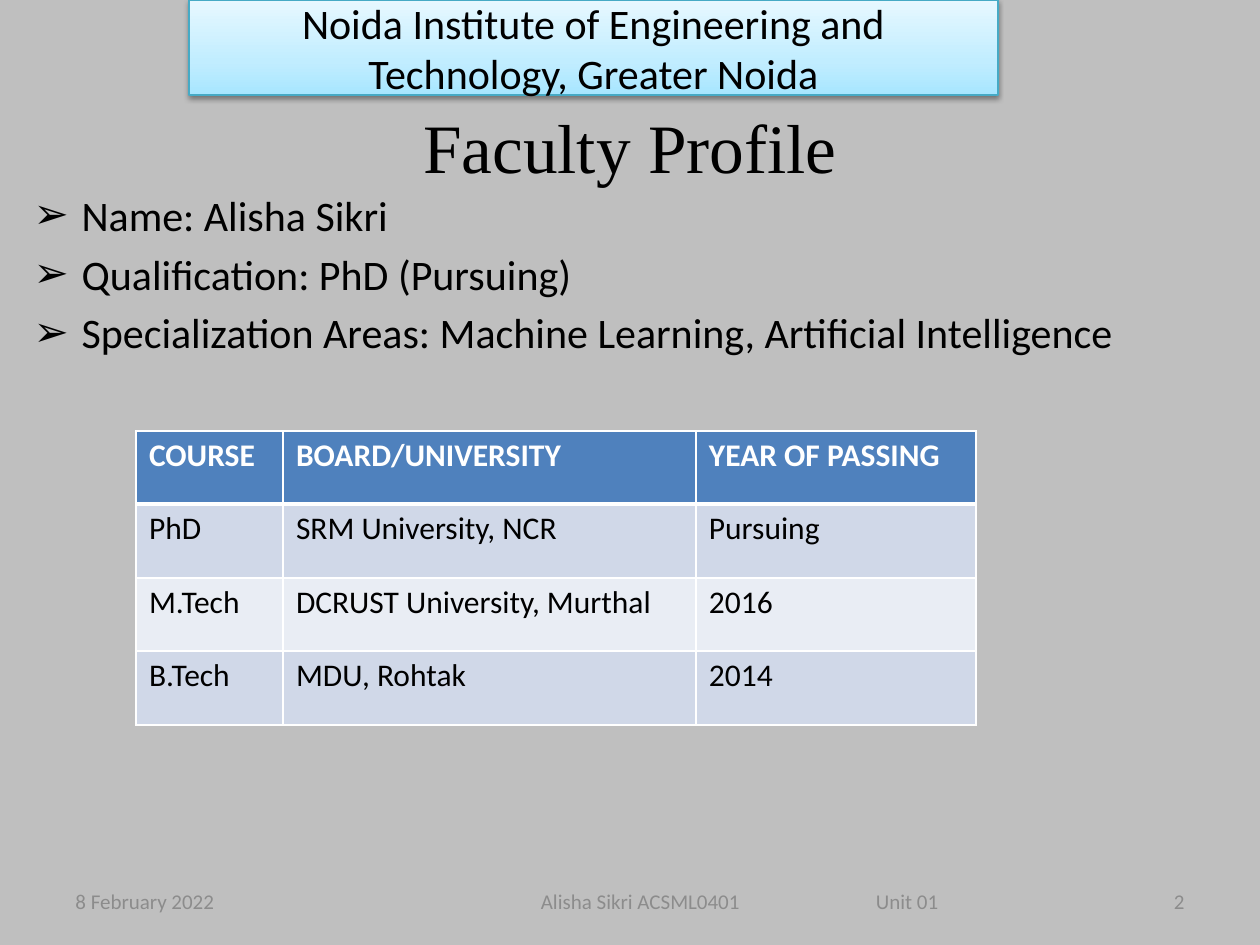
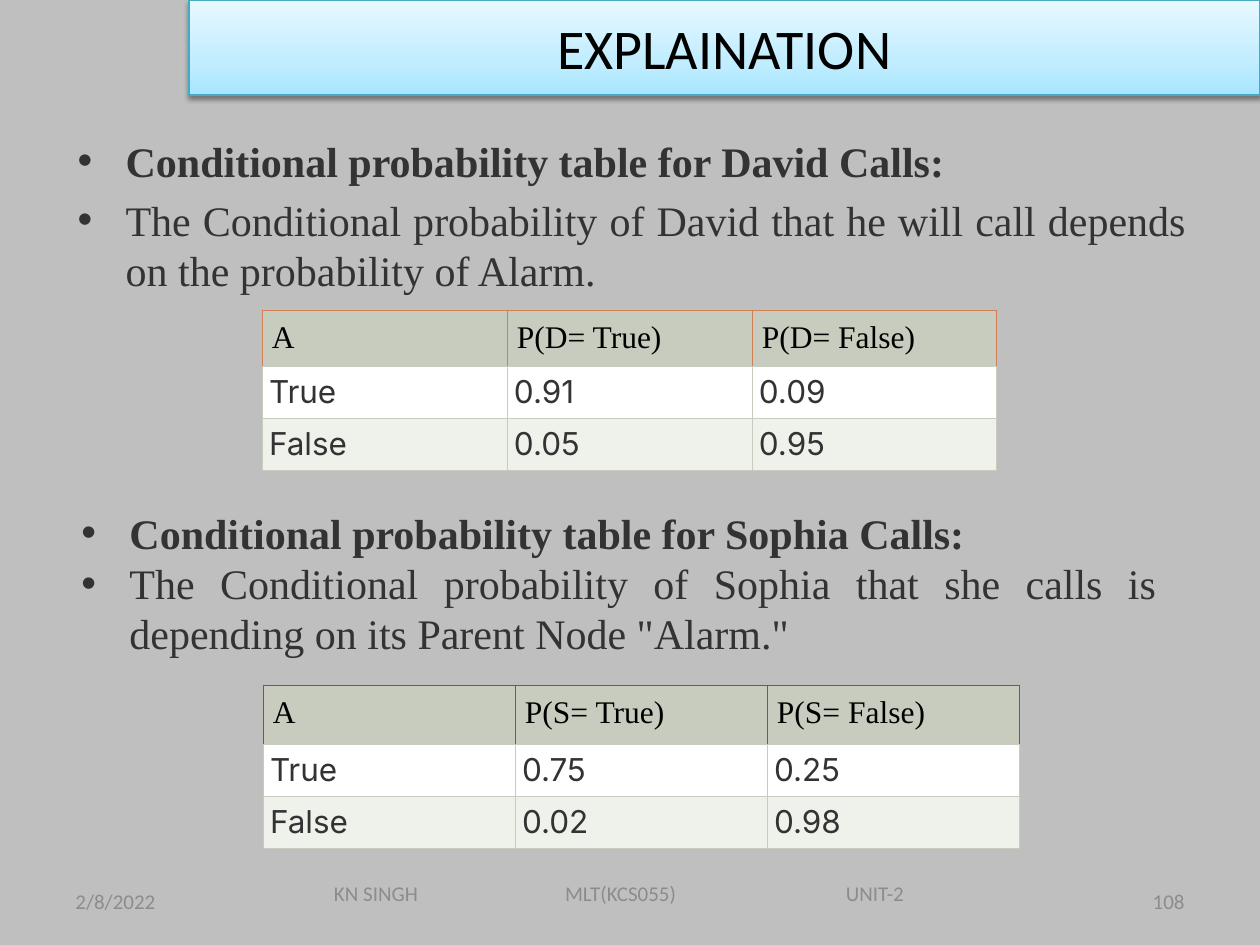
"""Build a faculty profile slide and a conditional probability slide."""
from lxml import etree
from pptx import Presentation
from pptx import util as u
from pptx.dml.color import RGBColor
from pptx.enum import shapes, text
from pptx.oxml.ns import qn

EMU_PER_PX = 914400 / 126
SANS, SERIF, CELL_SANS = "Calibri", "Times New Roman", "Inter"
BLACK, WHITE, DARK, MUTED = "000000", "FFFFFF", "333333", "8C8C8C"
BACKGROUND, BAND_LINE = "BFBFBF", "46AAC5"
BAND_STOPS = ((0, "A7E6FF"), (35, "C1EDFF"), (100, "E7F8FF"))
HEADER_BLUE, BLUE_ROWS = "4F81BD", ("D0D8E8", "E9EDF4")
SAGE, SAGE_ROWS = "C7CCBE", (WHITE, "EFF1EB")
LEFT, CENTER, RIGHT, JUSTIFY = (
    text.PP_ALIGN.LEFT, text.PP_ALIGN.CENTER, text.PP_ALIGN.RIGHT, text.PP_ALIGN.JUSTIFY)
TOP, MIDDLE = text.MSO_ANCHOR.TOP, text.MSO_ANCHOR.MIDDLE


def px(n):
    """Turn pixels into EMU."""
    return u.Emu(round(n * EMU_PER_PX))


def rgb(color):
    """Turn a hex string into a colour."""
    return RGBColor.from_string(color)


def child(parent, tag, **attrs):
    """Append an XML element with the given attributes."""
    e = etree.SubElement(parent, qn(tag))
    for name, value in attrs.items():
        e.set(name, str(value))
    return e


def write(p, content, size=24, font=SANS, color=BLACK, bold=False, align=LEFT):
    """Put one formatted run into a paragraph."""
    p.alignment = align
    r = p.add_run()
    r.text = content
    r.font.size, r.font.name, r.font.bold = u.Pt(size), font, bold
    r.font.color.rgb = rgb(color)


def set_frame(tf, anchor=TOP):
    """Make a text frame wrap at a fixed size."""
    tf.word_wrap = True
    tf.auto_size = text.MSO_AUTO_SIZE.NONE
    tf.vertical_anchor = anchor
    return tf


def place(sp, x, y, w, h):
    """Move and size a placeholder."""
    sp.left, sp.top, sp.width, sp.height = px(x), px(y), px(w), px(h)


def add_text_frame(slide, x, y, w, h, anchor=TOP):
    """Add a text box and return its text frame."""
    sp = slide.shapes.add_textbox(px(x), px(y), px(w), px(h))
    return set_frame(sp.text_frame, anchor)


def add_slide(prs):
    """Add a title and content slide on the shared background."""
    slide = prs.slides.add_slide(prs.slide_layouts[1])
    fill = slide.background.fill
    fill.solid()
    fill.fore_color.rgb = rgb(BACKGROUND)
    return slide


def add_band(slide, content, width, size):
    """Add the shaded heading band at the top."""
    sp = slide.shapes.add_shape(
        shapes.MSO_SHAPE.RECTANGLE, px(189), 0, px(width), px(95))
    sp.line.color.rgb = rgb(BAND_LINE)
    sp.line.width = u.Pt(0.75)
    sp.fill.gradient()
    sp.fill.gradient_angle = 90
    sp.shadow.inherit = False
    spPr = sp._element.spPr
    stops = spPr.find(".//" + qn("a:gsLst"))
    stops.clear()
    for pos, color in BAND_STOPS:
        child(child(stops, "a:gs", pos=pos * 1000), "a:srgbClr", val=color)
    shadow = child(spPr.find(qn("a:effectLst")), "a:outerShdw", blurRad=u.Pt(3.1),
                   dist=u.Pt(1.6), dir=5400000, rotWithShape=0)
    child(child(shadow, "a:srgbClr", val=BLACK), "a:alpha", val=38000)
    write(set_frame(sp.text_frame, MIDDLE).paragraphs[0], content, size, align=CENTER)


def add_bullets(tf, items, bullet="•", **fmt):
    """Fill a text frame with justified (text, bold) bullets."""
    for i, (content, bold) in enumerate(items):
        p = tf.add_paragraph() if i else tf.paragraphs[0]
        write(p, content, bold=bold, align=JUSTIFY, **fmt)
        pPr = p._p.get_or_add_pPr()
        pPr.set("marL", str(px(48)))
        pPr.set("indent", str(px(-48)))
        child(pPr, "a:buFont", typeface="Arial")
        child(pPr, "a:buChar", char=bullet)


def add_footer(slide, date, number, parts, box, inset, stops):
    """Add the date, the tabbed footer parts and the slide number."""
    fmt = {"size": 12, "color": MUTED}
    write(add_text_frame(slide, 63, 876, 294, 50, MIDDLE).paragraphs[0], date, **fmt)
    tf = add_text_frame(slide, *box, MIDDLE)
    tf.margin_left = px(inset)
    p = tf.paragraphs[0]
    write(p, "\t".join(parts), **fmt)
    tabs = child(p._p.get_or_add_pPr(), "a:tabLst")
    for stop in stops:
        child(tabs, "a:tab", pos=px(stop), algn="l")
    write(add_text_frame(slide, 903, 876, 294, 50, MIDDLE).paragraphs[0],
          number, align=RIGHT, **fmt)


def set_borders(cell, sides, top, bottom):
    """Draw cell borders, each given as (colour, points)."""
    tcPr = cell._tc.get_or_add_tcPr()
    for edge, (color, width) in zip("LRTB", (sides, sides, top, bottom)):
        ln = child(tcPr, f"a:ln{edge}", w=u.Pt(width))
        child(child(ln, "a:solidFill"), "a:srgbClr", val=color)


def add_grid(slide, x, y, widths, heights, rows, head, body):
    """Add a table whose header and body cells follow two style dicts."""
    table = slide.shapes.add_table(
        len(rows), len(widths), px(x), px(y), px(sum(widths)), px(sum(heights))).table
    table.first_row = table.horz_banding = False
    for column, width in zip(table.columns, widths):
        column.width = px(width)
    for i, (row, height, values) in enumerate(zip(table.rows, heights, rows)):
        row.height = px(height)
        style = body if i else head
        top = head["bottom"] if i == 1 else style["border"]
        bottom = style.get("bottom", style["border"])
        for cell, value in zip(row.cells, values):
            set_borders(cell, style["border"], top, bottom)
            cell.fill.solid()
            cell.fill.fore_color.rgb = rgb(style["fills"][(i - 1) % len(style["fills"])])
            cell.margin_left = cell.margin_right = px(style["inset"][0])
            cell.margin_top = cell.margin_bottom = px(style["inset"][1])
            write(cell.text_frame.paragraphs[0], value, 18, **style["text"])


def add_probability_table(slide, x, y, width, head_height, person, accent, values):
    """Add a conditional probability table for one caller."""
    (yes, no), (alarm_off_yes, alarm_off_no) = values
    rows = (("A", f"P({person}= True)", f"P({person}= False)"),
            ("True", yes, no), ("False", alarm_off_yes, alarm_off_no))
    add_grid(slide, x, y, [width] * 3, [head_height, 52, 52], rows,
             {"fills": [SAGE], "border": (accent, 0.5), "bottom": (SAGE, 0.5),
              "inset": (10, 10), "text": {"font": SERIF}},
             {"fills": SAGE_ROWS, "border": (SAGE, 0.5), "inset": (7, 7),
              "text": {"font": CELL_SANS, "color": DARK, "align": JUSTIFY}})


def build_profile(prs):
    """Build the faculty profile slide."""
    slide = add_slide(prs)
    title, body = slide.placeholders
    place(title, 63, 18, 1134, 157)
    tf = set_frame(title.text_frame)
    tf.margin_top, tf.margin_bottom = px(86), 0
    write(tf.paragraphs[0], "Faculty Profile", 39.6, SERIF, align=CENTER)
    place(body, 21, 183, 1218, 711)
    add_bullets(set_frame(body.text_frame), (
        ("Name: Alisha Sikri", False),
        ("Qualification: PhD (Pursuing)", False),
        ("Specialization Areas: Machine Learning, Artificial Intelligence", False)), "➢")
    add_footer(slide, "8 February 2022", "2", ("Alisha Sikri ACSML0401", "Unit 01"),
               (431, 876, 620, 50), 110, [335])
    add_band(slide, "Noida Institute of Engineering and Technology, Greater Noida", 809, 24)
    rows = (("COURSE", "BOARD/UNIVERSITY", "YEAR OF PASSING"),
            ("PhD", "SRM University, NCR", "Pursuing"),
            ("M.Tech", "DCRUST University, Murthal", "2016"),
            ("B.Tech", "MDU, Rohtak", "2014"))
    shared = {"border": (WHITE, 1), "inset": (13, 6)}
    add_grid(slide, 136, 431, [147, 413, 280], [73, 74, 73, 74], rows,
             {**shared, "fills": [HEADER_BLUE], "bottom": (WHITE, 3),
              "text": {"color": WHITE, "bold": True}},
             {**shared, "fills": BLUE_ROWS, "text": {}})


def build_explanation(prs):
    """Build the conditional probability slide."""
    slide = add_slide(prs)
    title, body = slide.placeholders
    title._element.getparent().remove(title._element)
    serif = {"font": SERIF, "color": DARK}
    place(body, 65, 129, 1134, 624)
    add_bullets(set_frame(body.text_frame), (
        ("Conditional probability table for David Calls:", True),
        ("The Conditional probability of David that he will call depends "
         "on the probability of Alarm.", False)), **serif)
    add_footer(slide, "2/8/2022", "108", ("KN SINGH", "MLT(KCS055)", "UNIT-2"),
               (284, 861, 672, 65), 50, [231, 512])
    add_band(slide, "EXPLAINATION", 1071, 32)
    add_probability_table(slide, 262, 310, 245, 56, "D", "D08054",
                          (("0.91", "0.09"), ("0.05", "0.95")))
    add_bullets(add_text_frame(slide, 69, 501, 1100, 165), (
        ("Conditional probability table for Sophia Calls:", True),
        ("The Conditional probability of Sophia that she calls is "
         'depending on its Parent Node "Alarm."', False)), **serif)
    add_probability_table(slide, 263, 685, 252, 59, "S", "803CC3",
                          (("0.75", "0.25"), ("0.02", "0.98")))


def main():
    """Build and save the presentation."""
    prs = Presentation()
    prs.slide_width, prs.slide_height = px(1260), px(945)
    build_profile(prs)
    build_explanation(prs)
    prs.save("out.pptx")


if __name__ == "__main__":
    main()
